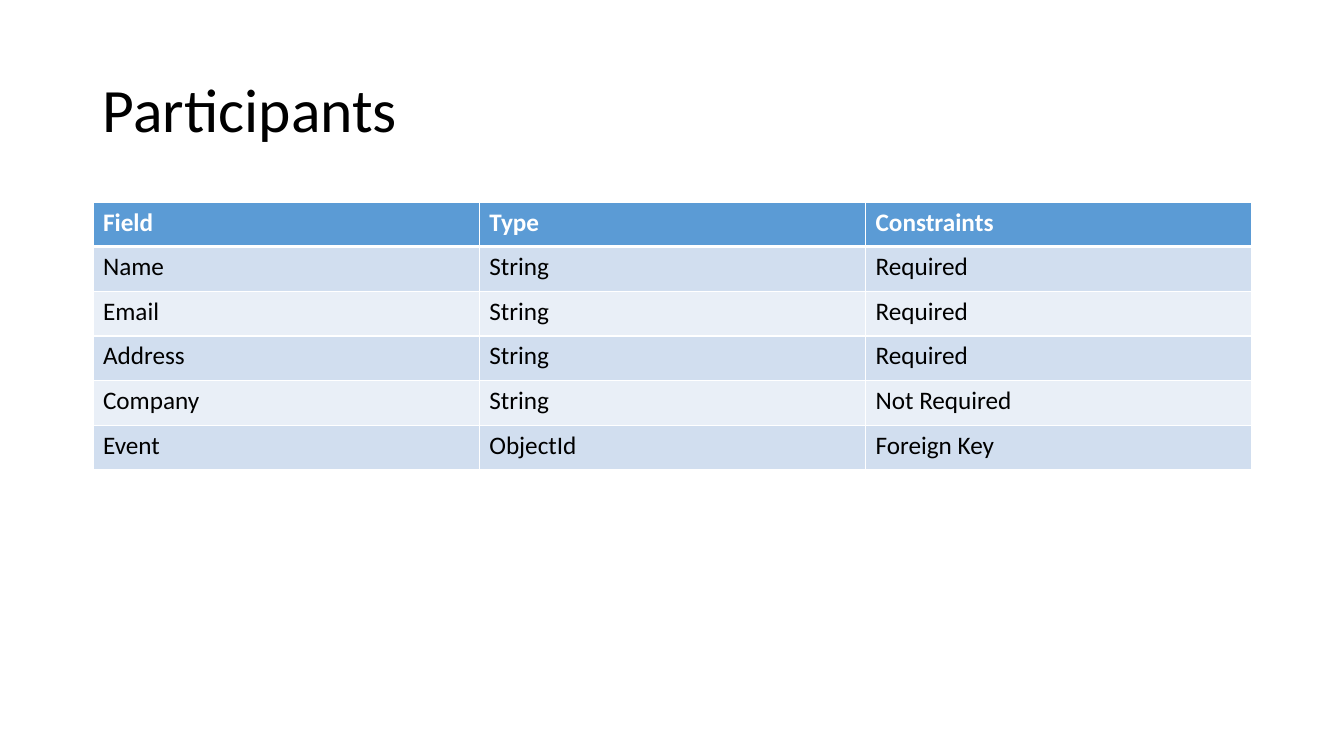
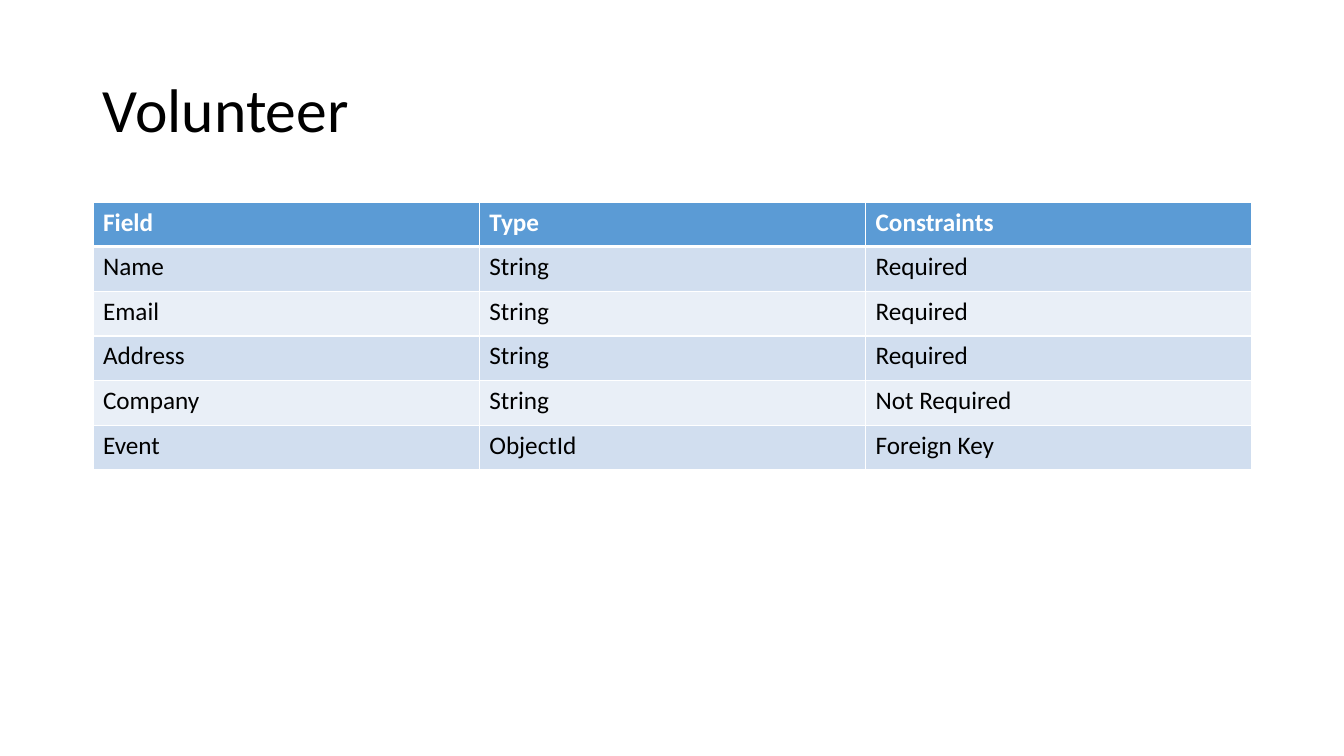
import pptx
import pptx.dml.color
import pptx.enum.text
import pptx.oxml
import pptx.oxml.ns
import pptx.util

# Content
HEADER = ("Field", "Type", "Constraints")
CONTACT_FIELDS = [
    ("Name", "String", "Required"),
    ("Email", "String", "Required"),
    ("Address", "String", "Required"),
    ("Company", "String", "Not Required"),
    ("Event", "ObjectId", "Foreign Key"),
]
SLIDES = [("Participants", CONTACT_FIELDS), ("Volunteer", CONTACT_FIELDS)]

# Shared style, lengths in pixels
FONT = "Calibri"
WHITE, BLACK = "FFFFFF", "000000"
HEADER_FILL = "5B9BD5"
BAND_FILLS = ("D1DEEF", "E9EFF7")
THIN, THICK = 0.96, 3
SLIDE_W, SLIDE_H = 1344, 756
LEFT, WIDTH = 93, 1159
TITLE_TOP, TITLE_H = 40, 146
TABLE_TOP, TABLE_H = 202, 268


def px(n):
    return round(n * 914400 / 100.8)


def rgb(color):
    return pptx.dml.color.RGBColor.from_string(color)


def style(p, size, color, bold=False):
    p.font.name = FONT
    p.font.size = pptx.util.Pt(size)
    p.font.bold = bold
    p.font.color.rgb = rgb(color)


def add_borders(cell, top, bottom):
    tc_pr = cell._tc.get_or_add_tcPr()
    for side, width in (("L", THIN), ("R", THIN), ("T", top), ("B", bottom)):
        tc_pr.append(pptx.oxml.parse_xml(
            f'<a:ln{side} {pptx.oxml.ns.nsdecls("a")} w="{pptx.util.Pt(width)}">'
            f'<a:solidFill><a:srgbClr val="{WHITE}"/></a:solidFill></a:ln{side}>'))


def add_title(slide, text):
    box = slide.shapes.add_textbox(px(LEFT), px(TITLE_TOP), px(WIDTH), px(TITLE_H))
    tf = box.text_frame
    tf.word_wrap = True
    tf.vertical_anchor = pptx.enum.text.MSO_ANCHOR.MIDDLE
    p = tf.paragraphs[0]
    p.text = text
    p.line_spacing = 0.9
    style(p, 44, BLACK)


def add_field_table(slide, fields):
    rows = [HEADER, *fields]
    table = slide.shapes.add_table(len(rows), len(HEADER), px(LEFT), px(TABLE_TOP),
                                   px(WIDTH), px(TABLE_H)).table
    for r, values in enumerate(rows):
        is_header = r == 0
        fill = HEADER_FILL if is_header else BAND_FILLS[(r - 1) % 2]
        for c, value in enumerate(values):
            cell = table.cell(r, c)
            add_borders(cell, THICK if r == 1 else THIN, THICK if is_header else THIN)
            cell.fill.solid()
            cell.fill.fore_color.rgb = rgb(fill)
            cell.text = value
            style(cell.text_frame.paragraphs[0], 18, WHITE if is_header else BLACK, is_header)


# Build the slides
prs = pptx.Presentation()
prs.slide_width, prs.slide_height = px(SLIDE_W), px(SLIDE_H)
blank = prs.slide_layouts[6]
for title, fields in SLIDES:
    slide = prs.slides.add_slide(blank)
    add_title(slide, title)
    add_field_table(slide, fields)
prs.save("out.pptx")
